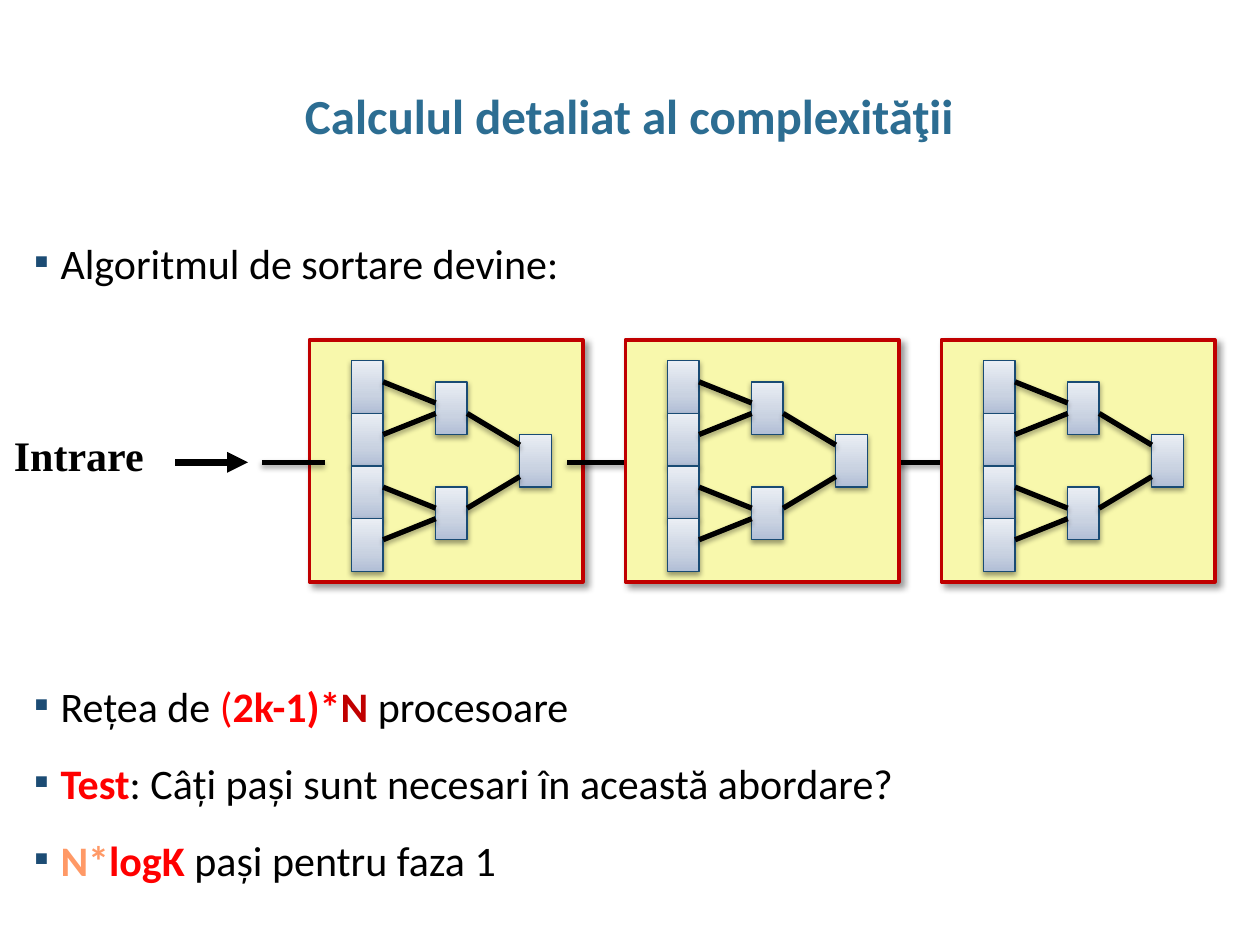
from lxml.etree import SubElement
from pptx import Presentation
from pptx.dml.color import RGBColor
from pptx.enum.shapes import MSO_CONNECTOR, MSO_SHAPE
from pptx.enum.text import MSO_ANCHOR, MSO_AUTO_SIZE, PP_ALIGN
from pptx.oxml import parse_xml
from pptx.oxml.ns import nsdecls, qn
from pptx.util import Cm, Pt

CELL_STOPS = [(0, "B1BED6"), (35, "C9D2E1"), (100, "EAEEF4")]
CELLS = [(4, 2), (4, 7), (4, 12), (4, 17), (12, 4), (12, 14), (20, 9)]
LINKS = [(7, 4, 12, 6), (7, 9, 12, 7), (7, 14, 12, 16), (7, 19, 12, 17),
         (15, 7, 20, 10), (15, 16, 20, 13)]
PANEL_SHADOW = (40, 4, 3, 45)
CELL_SHADOW = (38, 3.1, 1.6, 90)
LINE_SHADOW = (35, 3.1, 1.8, 90)


def color(value):
    return RGBColor.from_string(value)


def set_shadow(shape, shadow=None):
    effects = SubElement(shape._element.spPr, qn("a:effectLst"))
    if shadow:
        alpha, blur, distance, angle = shadow
        outer = SubElement(effects, qn("a:outerShdw"), blurRad=str(Pt(blur)),
                           dist=str(Pt(distance)), dir=str(angle * 60000), rotWithShape="0")
        black = SubElement(outer, qn("a:srgbClr"), val="000000")
        SubElement(black, qn("a:alpha"), val=str(alpha * 1000))


def add_line(shapes, x1, y1, x2, y2, width=3, shadow=LINE_SHADOW, arrow=False):
    line = shapes.add_connector(MSO_CONNECTOR.STRAIGHT, Cm(x1), Cm(y1), Cm(x2), Cm(y2))
    line.line.color.rgb = color("000000")
    line.line.width = Pt(width)
    if arrow:
        SubElement(line.line._get_or_add_ln(), qn("a:tailEnd"), type="triangle")
    set_shadow(line, shadow)


def add_rectangle(shapes, left, top, width, height, outline, outline_width):
    shape = shapes.add_shape(MSO_SHAPE.RECTANGLE, Cm(left), Cm(top), Cm(width), Cm(height))
    shape.line.color.rgb = color(outline)
    shape.line.width = Pt(outline_width)
    return shape


def fill_gradient(shape):
    shape.fill.gradient()
    shape.fill.gradient_angle = 90
    stop_list = shape._element.spPr.find(".//" + qn("a:gsLst"))
    for stop in list(stop_list):
        stop_list.remove(stop)
    for position, value in CELL_STOPS:
        stop_list.append(parse_xml(
            f'<a:gs {nsdecls("a")} pos="{position * 1000}"><a:srgbClr val="{value}"/></a:gs>'))


def add_network(slide, left, top, width, height):
    shapes = slide.shapes.add_group_shape().shapes
    column, row = width / 26, height / 23
    panel = add_rectangle(shapes, left, top, width, height, "C00000", 2)
    panel.fill.solid()
    panel.fill.fore_color.rgb = color("F8F8AC")
    set_shadow(panel, PANEL_SHADOW)
    for x, y in CELLS:
        cell = add_rectangle(shapes, left + x * column, top + y * row,
                             3 * column, 5 * row, "194B74", 0.75)
        fill_gradient(cell)
        set_shadow(cell, CELL_SHADOW)
    for x1, y1, x2, y2 in LINKS:
        add_line(shapes, left + x1 * column, top + y1 * row,
                 left + x2 * column, top + y2 * row)


def add_pipeline(slide, left, top, width, height):
    panel_width, pitch = 5.51, 6.37
    first_panel = left + width - panel_width - 2 * pitch
    middle = top + 2.47
    add_network(slide, first_panel, top, panel_width, height)
    for start, end in [(5.25, 6.52), (11.4, 12.87), (17.75, 19.22)]:
        add_line(slide.shapes, left + start, middle, left + end, middle)
    label = slide.shapes.add_textbox(Cm(left), Cm(top + 1.68), Cm(3.15), Cm(1.3))
    label.text_frame.word_wrap = False
    add_run(label.text_frame.paragraphs[0], "Intrare", 24, "000000", True, "Times New Roman")
    add_line(slide.shapes, left + 3.5, middle, left + 4.97, middle, 4, None, True)
    for index in (1, 2):
        add_network(slide, first_panel + index * pitch, top, panel_width, height)


def add_run(paragraph, text, size, value, bold=False, font="Calibri"):
    run = paragraph.add_run()
    run.text = text
    run.font.name = font
    run.font.size = Pt(size)
    run.font.bold = bold
    run.font.color.rgb = color(value)


def place_text(shape, left, top, width, height, anchor):
    shape.left, shape.top, shape.width, shape.height = Cm(left), Cm(top), Cm(width), Cm(height)
    frame = shape.text_frame
    frame.margin_left = frame.margin_right = 0
    frame.margin_top = frame.margin_bottom = Cm(0.13)
    frame.vertical_anchor = anchor
    frame.auto_size = MSO_AUTO_SIZE.NONE
    return frame


def fill_title(shape, *box):
    paragraph = place_text(shape, *box, MSO_ANCHOR.MIDDLE).paragraphs[0]
    paragraph.alignment = PP_ALIGN.CENTER
    paragraph.line_spacing = 0.95
    add_run(paragraph, "Calculul detaliat al complexităţii", 28, "2C6D92", True)


def add_bullet(paragraph):
    properties = paragraph._p.get_or_add_pPr()
    properties.set("marL", str(Cm(0.53)))
    properties.set("indent", str(Cm(-0.53)))
    bullet_color = SubElement(properties, qn("a:buClr"))
    SubElement(bullet_color, qn("a:srgbClr"), val="1C4C74")
    SubElement(properties, qn("a:buFont"), typeface="Calibri")
    SubElement(properties, qn("a:buChar"), char="▪")


def fill_body(shape, *box):
    black, red = "000000", "FF0000"
    items = [
        (0, 6, [("Algoritmul de sortare devine:", black, False)]),
        (227, 12, [("Rețea de ", black, False), ("(", red, False), ("2k-1)*", red, True),
                   ("N ", "C00000", True), ("procesoare", black, False)]),
        (12, 12, [("Test", red, True),
                  (": Câți pași sunt necesari în această abordare?", black, False)]),
        (12, 12, [("N*", "FF9966", True), ("logK", red, True),
                  (" pași pentru faza 1", black, False)]),
    ]
    frame = place_text(shape, *box, MSO_ANCHOR.TOP)
    for index, (before, after, runs) in enumerate(items):
        paragraph = frame.add_paragraph() if index else frame.paragraphs[0]
        add_bullet(paragraph)
        paragraph.line_spacing = 0.7
        paragraph.space_before = Pt(before)
        paragraph.space_after = Pt(after)
        for text, value, bold in runs:
            add_run(paragraph, text, 24, value, bold)


def main():
    presentation = Presentation()
    presentation.slide_width, presentation.slide_height = Cm(25.4), Cm(19.05)
    slide = presentation.slides.add_slide(presentation.slide_layouts[1])
    fill_body(slide.placeholders[1], 0.69, 4.93, 23.8, 13.59)
    fill_title(slide.shapes.title, 0.86, 1.73, 23.65, 1.27)
    add_pipeline(slide, 0.03, 6.85, 24.46, 4.88)
    presentation.save("out.pptx")


if __name__ == "__main__":
    main()
